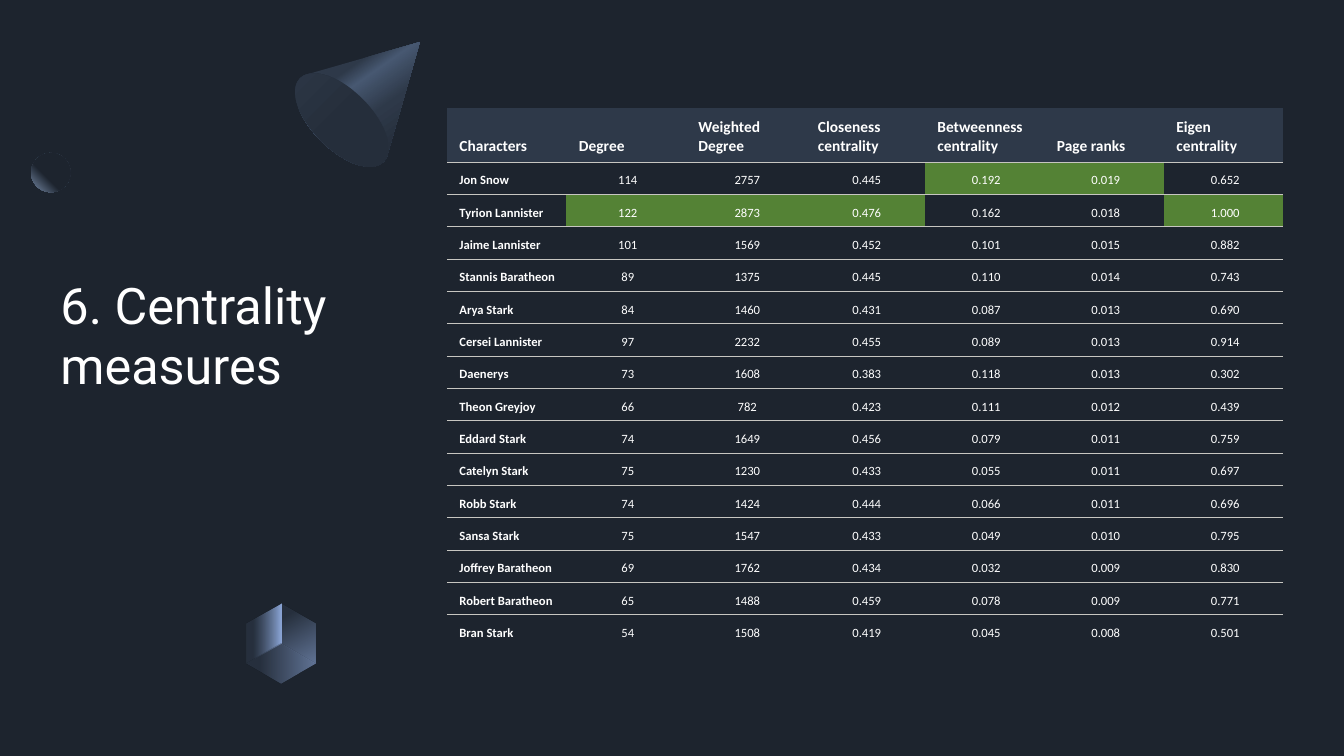
from collections import namedtuple
from math import cos, radians, sin, sqrt

from lxml import etree
from pptx import Presentation
from pptx import util as u
from pptx.dml.color import RGBColor
from pptx.enum import shapes, text
from pptx.oxml import ns

NIGHT = RGBColor(0x1D, 0x24, 0x2E)
DEEP = RGBColor(0x25, 0x2E, 0x3B)
SLATE = RGBColor(0x2E, 0x39, 0x49)
STEEL = RGBColor(0x47, 0x58, 0x71)
MIST = RGBColor(0x7A, 0x8E, 0xAB)
SKY = RGBColor(0x8F, 0xAA, 0xDC)
GREEN = RGBColor(0x54, 0x82, 0x35)
RULE = RGBColor(0xC7, 0xC6, 0xC1)
WHITE = RGBColor(0xFF, 0xFF, 0xFF)

COLUMNS, ROWS = 160, 90
UNIT = u.Inches(7.5) // ROWS
PLAIN_TABLE_STYLE = "{2D5ABB26-0587-4C30-8999-92F81FD0307C}"

Box = namedtuple("Box", "left top width height")

HEADERS = ["Characters", "Degree", "Weighted Degree", "Closeness centrality",
           "Betweenness centrality", "Page ranks", "Eigen centrality"]
MEASURES = [
    ["Jon Snow", "114", "2757", "0.445", "0.192", "0.019", "0.652"],
    ["Tyrion Lannister", "122", "2873", "0.476", "0.162", "0.018", "1.000"],
    ["Jaime Lannister", "101", "1569", "0.452", "0.101", "0.015", "0.882"],
    ["Stannis Baratheon", "89", "1375", "0.445", "0.110", "0.014", "0.743"],
    ["Arya Stark", "84", "1460", "0.431", "0.087", "0.013", "0.690"],
    ["Cersei Lannister", "97", "2232", "0.455", "0.089", "0.013", "0.914"],
    ["Daenerys", "73", "1608", "0.383", "0.118", "0.013", "0.302"],
    ["Theon Greyjoy", "66", "782", "0.423", "0.111", "0.012", "0.439"],
    ["Eddard Stark", "74", "1649", "0.456", "0.079", "0.011", "0.759"],
    ["Catelyn Stark", "75", "1230", "0.433", "0.055", "0.011", "0.697"],
    ["Robb Stark", "74", "1424", "0.444", "0.066", "0.011", "0.696"],
    ["Sansa Stark", "75", "1547", "0.433", "0.049", "0.010", "0.795"],
    ["Joffrey Baratheon", "69", "1762", "0.434", "0.032", "0.009", "0.830"],
    ["Robert Baratheon", "65", "1488", "0.459", "0.078", "0.009", "0.771"],
    ["Bran Stark", "54", "1508", "0.419", "0.045", "0.008", "0.501"],
]


def units(count):
    return u.Emu(round(count * UNIT))


def add_element(parent, tag, **attributes):
    element = etree.SubElement(parent, ns.qn(tag))
    for name, value in attributes.items():
        element.set(name, str(value))
    return element


def paint_gradient(shape, stops, angle=None):
    shape.shadow.inherit = False
    shape.line.fill.background()
    shape.fill.background()
    no_fill = shape._element.spPr.find(ns.qn("a:noFill"))
    gradient = etree.Element(ns.qn("a:gradFill"), rotWithShape="1")
    stop_list = add_element(gradient, "a:gsLst")
    for position, color, opacity in stops:
        stop = add_element(stop_list, "a:gs", pos=position * 1000)
        tint = add_element(stop, "a:srgbClr", val=color)
        if opacity < 100:
            add_element(tint, "a:alpha", val=opacity * 1000)
    if angle is None:
        focus = add_element(gradient, "a:path", path="circle")
        add_element(focus, "a:fillToRect", l=100000, b=100000)
    else:
        add_element(gradient, "a:lin", ang=angle * 60000, scaled=0)
    no_fill.getparent().replace(no_fill, gradient)


def add_ellipse(slide, box):
    return slide.shapes.add_shape(shapes.MSO_SHAPE.OVAL, *map(units, box))


def add_outline(slide, points):
    start, *rest = [(units(x), units(y)) for x, y in points]
    builder = slide.shapes.build_freeform(*start)
    builder.add_line_segments(rest, close=True)
    return builder.convert_to_shape()


def add_sphere(slide, box):
    paint_gradient(add_ellipse(slide, box), [(60, NIGHT, 100), (100, MIST, 100)])


def add_cone(slide, box):
    center_x = box.left + box.width * 0.38
    center_y = box.top + box.height * 0.62
    major, minor = box.width * 0.47, box.width * 0.235
    rim = []
    for degrees in range(-10, 191, 10):
        along = major * cos(radians(degrees)) / sqrt(2)
        across = minor * sin(radians(degrees)) / sqrt(2)
        rim.append((center_x + along - across, center_y + along + across))
    side = add_outline(slide, [(box.left + box.width, box.top)] + rim)
    paint_gradient(side, [(30, SLATE, 100), (40, STEEL, 100),
                          (60, SLATE, 100), (100, NIGHT, 100)], 55)
    base = add_ellipse(slide, Box(center_x - minor, center_y - major, 2 * minor, 2 * major))
    base.rotation = 135
    paint_gradient(base, [(50, DEEP, 100), (100, SLATE, 100)], 90)


def add_cube(slide, box):
    top, center, bottom = (0.5, 0), (0.5, 0.5), (0.5, 1)
    upper_left, lower_left = (0, 0.25), (0, 0.75)
    upper_right, lower_right = (1, 0.25), (1, 0.75)
    faces = [
        ([upper_right, top, center, lower_right], 60, 60),
        ([lower_left, upper_left, top, center], 100, 0),
        ([lower_right, bottom, lower_left, center], 60, 0),
    ]
    for corners, opacity, angle in faces:
        face = add_outline(slide, [(box.left + x * box.width, box.top + y * box.height)
                                   for x, y in corners])
        paint_gradient(face, [(20, SLATE, 60), (100, SKY, opacity)], angle)


def add_title(slide, box):
    title = slide.shapes.title
    title.left, title.top, title.width, title.height = map(units, box)
    frame = title.text_frame
    frame.text = "6. Centrality measures"
    frame.word_wrap = True
    frame.auto_size = text.MSO_AUTO_SIZE.NONE
    frame.vertical_anchor = text.MSO_ANCHOR.BOTTOM
    frame.margin_left = frame.margin_right = frame.margin_top = frame.margin_bottom = 0
    paragraph = frame.paragraphs[0]
    paragraph.alignment = text.PP_ALIGN.LEFT
    paragraph.space_after = u.Pt(6)
    paragraph.font.name = "Roboto"
    paragraph.font.size = u.Pt(36)
    paragraph.font.color.rgb = WHITE


def add_bottom_rule(cell):
    rule = etree.Element(ns.qn("a:lnB"), w=str(u.Pt(0.75)))
    add_element(add_element(rule, "a:solidFill"), "a:srgbClr", val=RULE)
    cell._tc.get_or_add_tcPr().insert(0, rule)


def fill_cell(cell, value, is_header, is_name, fill):
    cell.text = value
    cell.vertical_anchor = text.MSO_ANCHOR.BOTTOM
    cell.margin_left, cell.margin_right = units(1.5), units(1.1)
    cell.margin_top = cell.margin_bottom = units(0.75)
    if fill is None:
        cell.fill.background()
    else:
        cell.fill.solid()
        cell.fill.fore_color.rgb = fill
    paragraph = cell.text_frame.paragraphs[0]
    centered = not (is_header or is_name)
    paragraph.alignment = text.PP_ALIGN.CENTER if centered else text.PP_ALIGN.LEFT
    paragraph.font.name = "Calibri"
    paragraph.font.size = u.Pt(11 if is_header else 9)
    paragraph.font.bold = not centered
    paragraph.font.color.rgb = WHITE


def add_measures_table(slide, box, header_height):
    grid = [HEADERS] + MEASURES
    table = slide.shapes.add_table(len(grid), len(HEADERS), *map(units, box)).table
    table._tbl.tblPr.find(ns.qn("a:tableStyleId")).text = PLAIN_TABLE_STYLE
    table.horz_banding = False
    for column in table.columns:
        column.width = units(box.width / len(HEADERS))
    row_height = (box.height - header_height) / len(MEASURES)
    best = [max(map(float, values)) for values in list(zip(*MEASURES))[1:]]
    for row, values in enumerate(grid):
        is_header = row == 0
        table.rows[row].height = units(header_height if is_header else row_height)
        for column, value in enumerate(values):
            is_name = column == 0
            fill = SLATE if is_header else None
            if not is_header and not is_name and float(value) == best[column - 1]:
                fill = GREEN
            cell = table.cell(row, column)
            fill_cell(cell, value, is_header, is_name, fill)
            if row < len(MEASURES):
                add_bottom_rule(cell)


def main():
    presentation = Presentation()
    presentation.slide_width, presentation.slide_height = units(COLUMNS), units(ROWS)
    slide = presentation.slides.add_slide(presentation.slide_layouts[5])
    slide.background.fill.solid()
    slide.background.fill.fore_color.rgb = NIGHT
    add_sphere(slide, Box(3.7, 18.2, 4.7, 4.7))
    add_cone(slide, Box(35, 5, 15, 15))
    add_title(slide, Box(7.2, 7.2, 46.8, 39.8))
    add_cube(slide, Box(29.4, 71.9, 8.2, 9.4))
    add_measures_table(slide, Box(53.2, 12.9, 99.6, 64.2), 6.4)
    presentation.save("out.pptx")


if __name__ == "__main__":
    main()
